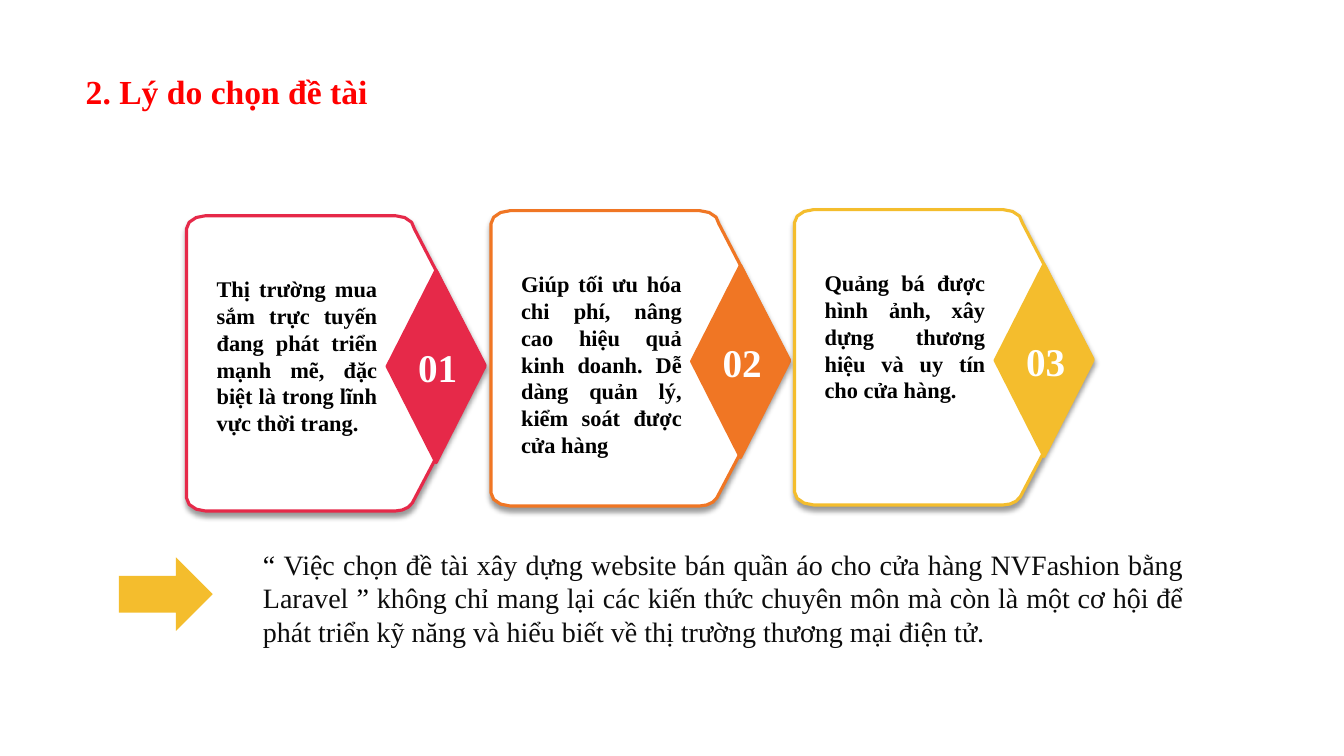
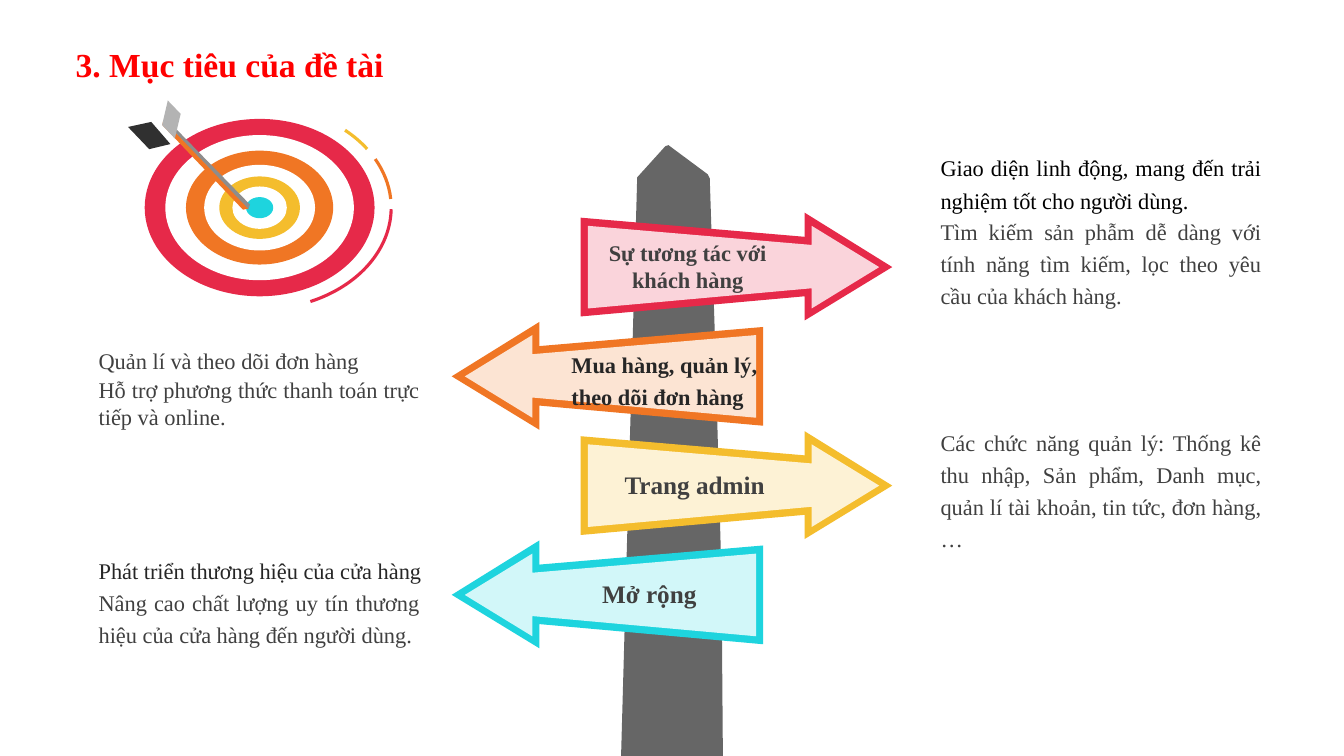
import pptx
import pptx.dml.color
import pptx.enum.shapes
import pptx.enum.text
import pptx.util
from lxml import etree

SHAPE = pptx.enum.shapes.MSO_SHAPE
ALIGN = pptx.enum.text.PP_ALIGN
ANCHOR = pptx.enum.text.MSO_ANCHOR
EMU = 9144  # 100 px to the inch
FONT = "Times New Roman"
NS = "http://schemas.openxmlformats.org/drawingml/2006/main"

RED, ORANGE, GOLD, CYAN = "E62949", "F07624", "F4BD2D", "1ED4DE"
WHITE, BLACK, DARK, GREY = "FFFFFF", "000000", "262626", "404040"
INK, TITLE, POST = "0D0D0D", "FF0000", "666666"

# Slide 1: left, top, colour, number, text
CARDS = [
    (185, 214, RED, "01", "Thị trường mua sắm trực tuyến đang phát triển mạnh mẽ, "
     "đặc biệt là trong lĩnh vực thời trang."),
    (487, 209, ORANGE, "02", "Giúp tối ưu hóa chi phí, nâng cao hiệu quả kinh doanh. "
     "Dễ dàng quản lý, kiểm soát được cửa hàng"),
    (788, 208, GOLD, "03", "Quảng bá được hình ảnh, xây dựng thương hiệu và uy tín "
     "cho cửa hàng."),
]
QUOTE = [
    ("“ ", BLACK),
    ("Việc chọn đề tài xây dựng website bán quần áo cho cửa hàng NVFashion "
     "bằng Laravel ", INK),
    ("”", BLACK),
    (" không chỉ mang lại các kiến thức chuyên môn mà còn là một cơ hội để phát "
     "triển kỹ năng và hiểu biết về thị trường thương mại điện tử.", INK),
]

# Outlines: a pair is a corner, six numbers are a Bézier curve
CARD = [(19, 0), (207, 0), (217, 0, 226, 6, 226, 13), (296, 148), (224, 285),
        (221, 290, 214, 293, 207, 293), (19, 293), (9, 293, 0, 287, 0, 280),
        (0, 13), (0, 6, 9, 0, 19, 0)]
POLE = [(632, 176), (660, 145), (663, 144), (702, 173), (704, 177),
        (707, 270, 720, 639, 717, 750), (616, 750)]
EDGE = [(222, 107), (309, 54), (222, 0), (222, 24), (0, 5), (0, 103), (222, 83)]
FACE = [(229, 95), (296, 54), (229, 13), (229, 32), (7, 13), (7, 95), (229, 75)]

# Slide 2: edge colour, face colour; signs point right and left in turn
SIGNS = [(RED, "FAD4DB"), (ORANGE, "FCE4D3"), (GOLD, "FDF2D5"), (CYAN, "D2F7F9")]
SIGN_W, SIGN_TOP, STEP = 309, 211, 108.4
# box, text, size, colour, align, line spacing
LABELS = [
    ((575, 232, 214, 64), "Sự tương tác với khách hàng", 16, GREY, ALIGN.CENTER, 1),
    ((557, 338, 214, 72), "Mua hàng, quản lý, theo dõi đơn hàng", 16, DARK,
     ALIGN.LEFT, 1.2),
    ((582, 461, 214, 40), "Trang admin", 18, GREY, ALIGN.CENTER, 1),
    ((537, 569, 214, 40), "Mở rộng", 18, GREY, ALIGN.CENTER, 1),
]
NOTES = [
    ((923, 143, 338, 72), "Giao diện linh động, mang đến trải nghiệm tốt cho "
     "người dùng.", 16, BLACK, ALIGN.JUSTIFY, 1.2),
    ((923, 206, 338, 135), "Tìm kiếm sản phẫm dễ dàng với tính năng tìm kiếm, "
     "lọc theo yêu cầu của khách hàng.", 16, GREY, ALIGN.JUSTIFY, 1.2),
    ((923, 415, 338, 182), "Các chức năng quản lý: Thống kê thu nhập, Sản phẩm, "
     "Danh mục, quản lí tài khoản, tin tức, đơn hàng, …", 16, GREY,
     ALIGN.JUSTIFY, 1.2),
    ((88, 339, 338, 37), "Quản lí và theo dõi đơn hàng", 16, GREY, ALIGN.JUSTIFY, 1),
    ((88, 368, 338, 64), "Hỗ trợ phương thức thanh toán trực tiếp và online.",
     16, GREY, ALIGN.JUSTIFY, 1),
    ((88, 542, 353, 22), "Phát triển thương hiệu của cửa hàng", 16, DARK,
     ALIGN.LEFT, 1.2),
    ((88, 574, 338, 75), "Nâng cao chất lượng uy tín thương hiệu của cửa hàng "
     "đến người dùng.", 16, GREY, ALIGN.JUSTIFY, 1.2),
]
# Target: ring sizes from outside in, arcs by start and end degrees
HUB = (257.5, 206)
RINGS = [(228, 176, RED), (187, 144, WHITE), (146, 113, ORANGE), (110, 85, WHITE),
         (80, 62, GOLD), (54, 42, WHITE), (27, 21, CYAN)]
ARCS = [(337.2, 356.2, ORANGE), (0.7, 61.6, RED), (317.8, 331.4, GOLD)]
DART = [([(162, 119), (246, 208), (248, 203), (166, 119)], "8D8D8D"),
        ([(162, 119), (246, 207), (241, 208), (161, 124)], ORANGE),
        ([(127, 126), (150, 121), (169, 143), (148, 148)], "303030")]
VANE = (154, 108, 32, 21)


def px(num):
    return pptx.util.Emu(round(num * EMU))


def rgb(code):
    return pptx.dml.color.RGBColor.from_string(code)


def paint(shape, fill=None, line=None):
    shape.shadow.inherit = False
    if fill:
        shape.fill.solid()
        shape.fill.fore_color.rgb = rgb(fill)
    else:
        shape.fill.background()
    if line:
        shape.line.color.rgb = rgb(line)
        shape.line.width = pptx.util.Pt(2.25)
    else:
        shape.line.fill.background()
    return shape


def preset(slide, kind, box, fill=None, line=None):
    return paint(slide.shapes.add_shape(kind, *map(px, box)), fill, line)


def trace(nodes, steps=3):
    """Turn corners and curves into a list of points."""
    pts = []
    for node in nodes:
        if len(node) == 2:
            pts.append(node)
            continue
        ctrl = [pts[-1], node[:2], node[2:4], node[4:]]
        for i in range(1, steps + 1):
            t = i / steps
            mix = ((1 - t) ** 3, 3 * t * (1 - t) ** 2, 3 * t * t * (1 - t), t ** 3)
            pts.append(tuple(sum(m * c[k] for m, c in zip(mix, ctrl)) for k in (0, 1)))
    return pts


def outline(slide, nodes, fill, line=None, left=0, top=0):
    pts = [(px(x + left), px(y + top)) for x, y in trace(nodes)]
    form = slide.shapes.build_freeform(*pts[0])
    form.add_line_segments(pts[1:], close=True)
    return paint(form.convert_to_shape(), fill, line)


def shade(shape):
    """Give a soft shadow straight below the shape."""
    fx = shape.element.spPr.find(f"{{{NS}}}effectLst")
    drop = etree.SubElement(fx, f"{{{NS}}}outerShdw", blurRad="50800",
                            dist="38100", dir="5400000", algn="t", rotWithShape="0")
    tone = etree.SubElement(drop, f"{{{NS}}}srgbClr", val=BLACK)
    etree.SubElement(tone, f"{{{NS}}}alpha", val="40000")


def style(para, size, color, bold=False, align=ALIGN.LEFT, space=1):
    para.alignment = align
    para.line_spacing = space
    font = para.font
    font.name, font.size, font.bold = FONT, pptx.util.Pt(size), bold
    font.color.rgb = rgb(color)


def write(slide, box, text, size, color, align=ALIGN.LEFT, space=1, bold=False):
    frame = slide.shapes.add_textbox(*map(px, box)).text_frame
    frame.word_wrap = True
    para = frame.paragraphs[0]
    para.text = text
    style(para, size, color, bold, align, space)
    return frame


def start(deck, text, left, top):
    """Add a slide with the shared title style."""
    slide = deck.slides.add_slide(deck.slide_layouts[5])
    head = slide.shapes.title
    head.left, head.top, head.width, head.height = map(px, (left, top, 667, 50))
    frame = head.text_frame
    frame.text = text
    frame.vertical_anchor = ANCHOR.TOP
    frame.auto_size = pptx.enum.text.MSO_AUTO_SIZE.NONE
    style(frame.paragraphs[0], 24, TITLE, True)
    return slide


def reasons(deck):
    slide = start(deck, "2. Lý do chọn đề tài", 75, 65)
    for x, y, color, num, text in CARDS:
        shade(outline(slide, CARD, WHITE, color, x, y))
        preset(slide, SHAPE.DIAMOND, (x + 199, y + 54, 97, 191), color, color)
        write(slide, (x + 20, y + 54, 179, 199), text, 16, BLACK,
              ALIGN.JUSTIFY, bold=True)
        frame = write(slide, (x + 205, y + 126, 88, 47), num, 28, WHITE,
                      ALIGN.CENTER, bold=True)
        frame.vertical_anchor = ANCHOR.MIDDLE
        frame.margin_left = frame.margin_right = px(8)
        frame.margin_top = frame.margin_bottom = 0
    preset(slide, SHAPE.RIGHT_ARROW, (118, 553, 93, 73), GOLD)
    para = write(slide, (251, 538, 933, 111), "", 20, INK, ALIGN.JUSTIFY).paragraphs[0]
    for text, color in QUOTE:
        run = para.add_run()
        run.text = text
        run.font.color.rgb = rgb(color)


def target(slide):
    cx, cy = HUB
    for w, h, color in RINGS:
        preset(slide, SHAPE.OVAL, (cx - w / 2, cy - h / 2, w, h), color)
    for first, last, color in ARCS:
        arc = preset(slide, SHAPE.ARC, (127, 105, 261, 202), line=color)
        # an adjustment of 1 is 100000 units, a degree is 60000
        arc.adjustments[0], arc.adjustments[1] = first * 0.6, last * 0.6
    for pts, color in DART:
        outline(slide, pts, color)
    vane = preset(slide, SHAPE.PARALLELOGRAM, VANE, "B3B3B3")
    vane.adjustments[0] = 0.65
    vane.rotation = 46.2
    vane.element.spPr.find(f"{{{NS}}}xfrm").set("flipH", "1")


def goals(deck):
    slide = start(deck, "3. Mục tiêu của đề tài", 65, 39)
    outline(slide, POLE, POST)
    for i, colors in enumerate(SIGNS):
        for nodes, color in zip((EDGE, FACE), colors):
            left = 576
            if i % 2:
                left, nodes = 448, [(SIGN_W - x, y) for x, y in nodes]
            outline(slide, nodes, color, left=left, top=SIGN_TOP + i * STEP)
    for label in LABELS:
        write(slide, *label, bold=True)
    for note in NOTES:
        write(slide, *note)
    target(slide)


def main():
    deck = pptx.Presentation()
    deck.slide_width, deck.slide_height = px(1333), px(750)
    reasons(deck)
    goals(deck)
    deck.save("out.pptx")


if __name__ == "__main__":
    main()
